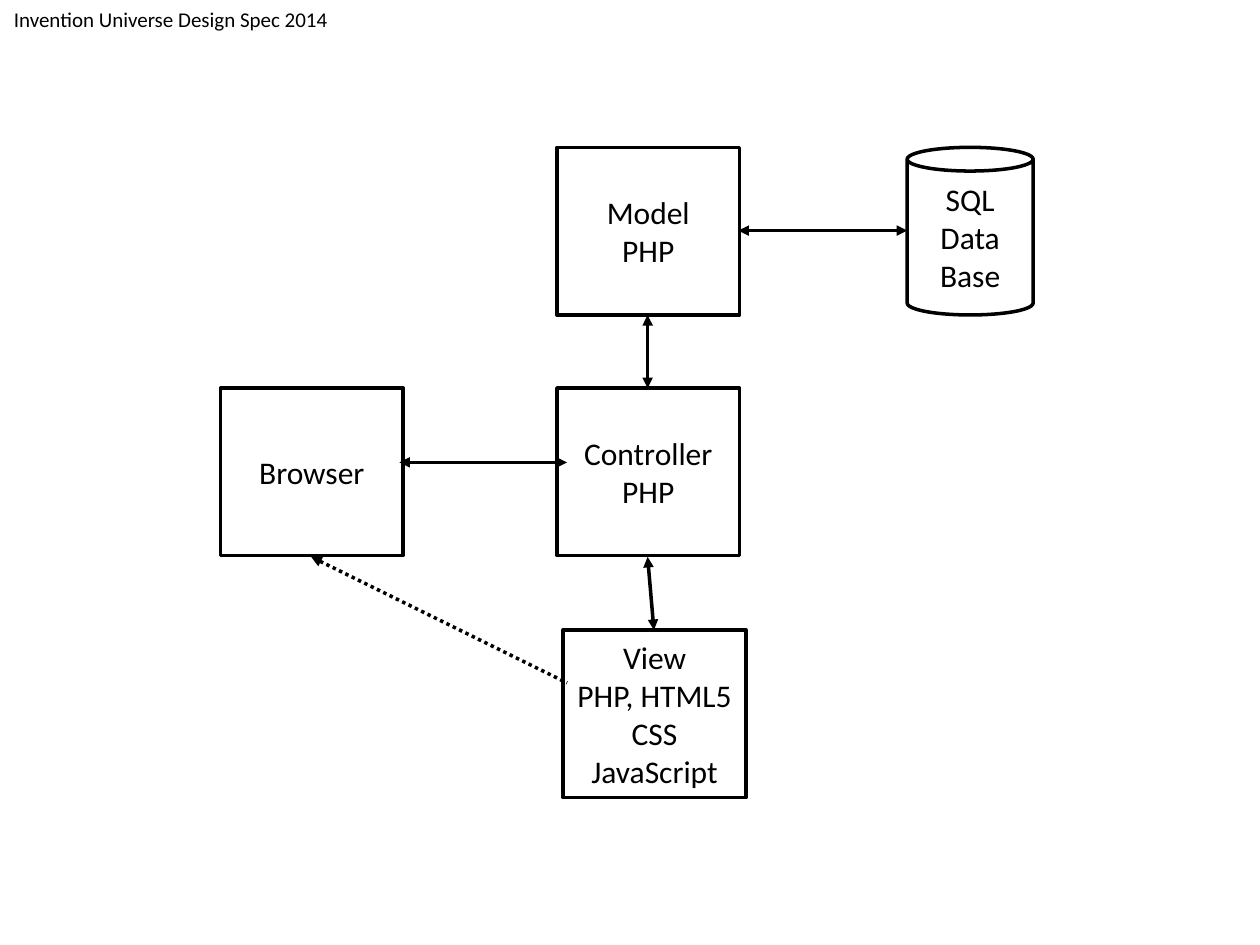
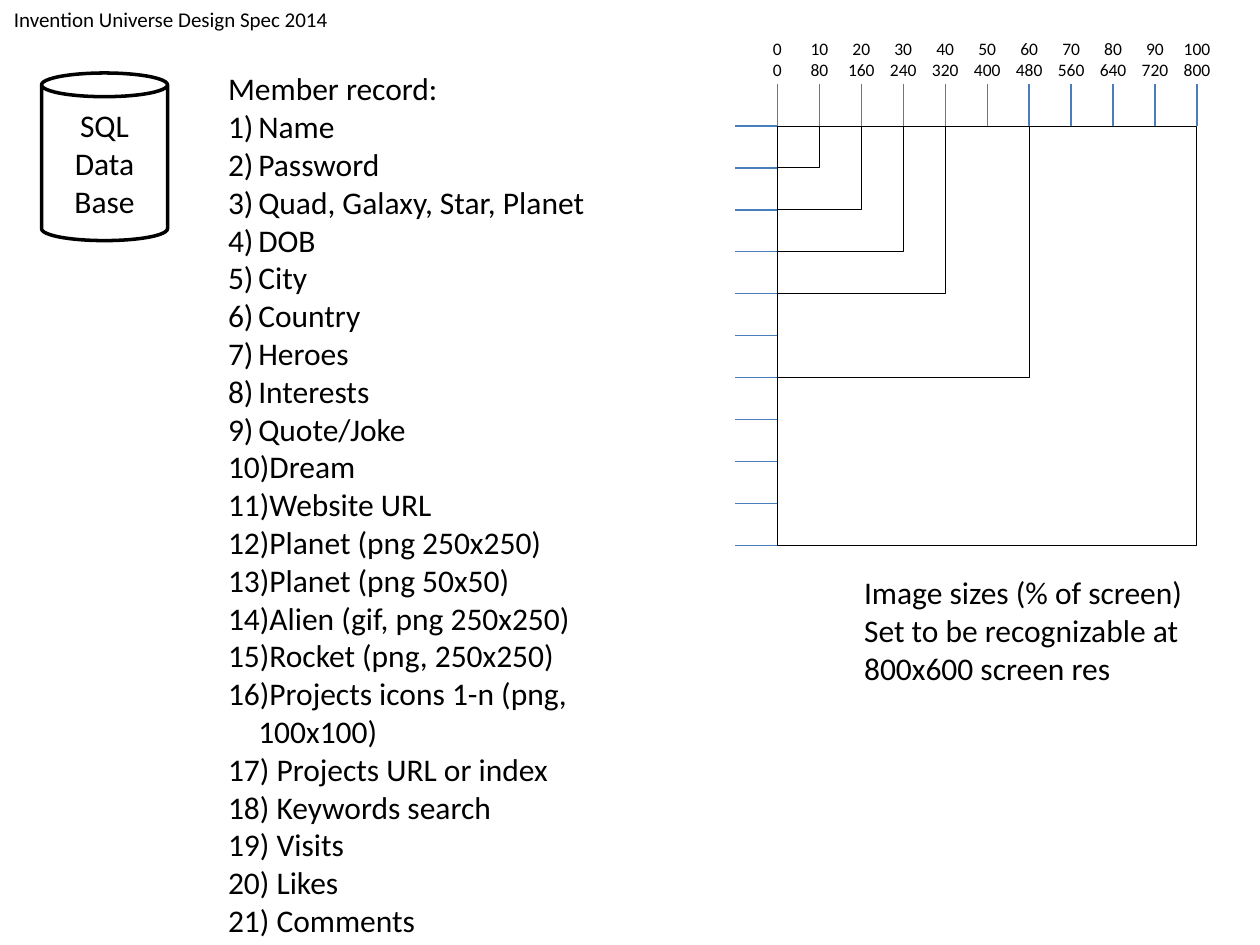
from dataclasses import dataclass
from typing import NamedTuple

from lxml.etree import SubElement
from pptx import Presentation
from pptx.dml.color import RGBColor
from pptx.enum.dml import MSO_LINE
from pptx.enum.shapes import MSO_CONNECTOR, MSO_SHAPE
from pptx.enum.text import MSO_ANCHOR, MSO_AUTO_SIZE, PP_ALIGN
from pptx.oxml.ns import qn
from pptx.util import Inches, Pt


@dataclass(frozen=True)
class Theme:
    """Colours, font, type sizes and line widths shared by the slides."""
    ink: RGBColor = RGBColor(0, 0, 0)
    paper: RGBColor = RGBColor(255, 255, 255)
    tick: RGBColor = RGBColor(0x4A, 0x7E, 0xBB)
    font: str = "Calibri"
    text: int = 18
    header: int = 12
    label: int = 10
    bold_line: float = 2
    tick_line: float = 0.75
    frame_line: float = 0.5


class Box(NamedTuple):
    """A region in inches."""
    left: float
    top: float
    width: float
    height: float

    def lengths(self):
        """Return the region as slide lengths."""
        return [Inches(value) for value in self]


THEME = Theme()
HEADER = "Invention Universe Design Spec 2014"
HEADER_BOX = Box(0.01, 0, 2.7, 0.3)
DATABASE = ["SQL", "Data", "Base"]
MEMBER_FIELDS = [
    "Name", "Password", "Quad, Galaxy, Star, Planet", "DOB", "City", "Country",
    "Heroes", "Interests", "Quote/Joke", "Dream", "Website URL",
    "Planet (png 250x250)", "Planet (png 50x50)", "Alien (gif, png 250x250)",
    "Rocket (png, 250x250)", "Projects icons 1-n (png, 100x100)",
    " Projects URL or index", " Keywords search", " Visits", " Likes", " Comments",
]
SIZE_NOTE = ["Image sizes (% of screen)", "Set to be recognizable at", "800x600 screen res"]


def write(frame, lines, size, align=PP_ALIGN.LEFT, anchor=MSO_ANCHOR.TOP, wrap=False):
    """Fill a text frame with one paragraph per line."""
    frame.auto_size = MSO_AUTO_SIZE.NONE
    frame.word_wrap = wrap
    frame.vertical_anchor = anchor
    frame.margin_left = frame.margin_right = Inches(0.1)
    frame.margin_top = frame.margin_bottom = Inches(0.05)
    for index, line in enumerate(lines):
        paragraph = frame.add_paragraph() if index else frame.paragraphs[0]
        paragraph.text = line
        paragraph.alignment = align
        paragraph.space_before = Pt(0)
        paragraph.font.name = THEME.font
        paragraph.font.size = Pt(size)
        paragraph.font.color.rgb = THEME.ink


def place(placeholder, box):
    """Move a placeholder to a region."""
    (placeholder.left, placeholder.top,
     placeholder.width, placeholder.height) = box.lengths()


def add_text(shapes, box, lines, size, align=PP_ALIGN.LEFT):
    """Add a text box."""
    write(shapes.add_textbox(*box.lengths()).text_frame, lines, size, align)


def add_outline(shapes, kind, box, width, fill=None):
    """Add an outlined shape, filled only when a colour is given."""
    shape = shapes.add_shape(kind, *box.lengths())
    shape.shadow.inherit = False
    if fill is None:
        shape.fill.background()
    else:
        shape.fill.solid()
        shape.fill.fore_color.rgb = fill
    shape.line.color.rgb = THEME.ink
    shape.line.width = Pt(width)
    return shape


def add_node(slide, box, lines):
    """Add a labelled component box."""
    node = add_outline(slide.shapes, MSO_SHAPE.RECTANGLE, box, THEME.bold_line, THEME.paper)
    write(node.text_frame, lines, THEME.text, PP_ALIGN.CENTER, MSO_ANCHOR.MIDDLE, True)


def add_database(slide, box):
    """Add the database cylinder."""
    cylinder = add_outline(slide.shapes, MSO_SHAPE.CAN, box, THEME.bold_line)
    cylinder.adjustments[0] = 0.188
    write(cylinder.text_frame, DATABASE, THEME.text, PP_ALIGN.CENTER, MSO_ANCHOR.MIDDLE, True)


def add_line(shapes, start, end, color, width):
    """Add a straight line without a shadow."""
    line = shapes.add_connector(
        MSO_CONNECTOR.STRAIGHT, *[Inches(value) for value in (*start, *end)])
    line.line.color.rgb = color
    line.line.width = Pt(width)
    SubElement(line._element.spPr, qn("a:effectLst"))
    return line


def add_arrow(slide, start, end, dotted=False):
    """Add a two-way arrow, or a dotted one with its head at the start."""
    arrow = add_line(slide.shapes, start, end, THEME.ink, THEME.bold_line)
    if dotted:
        arrow.line.dash_style = MSO_LINE.ROUND_DOT
    for tag in ["a:headEnd"] if dotted else ["a:headEnd", "a:tailEnd"]:
        SubElement(arrow.line._get_or_add_ln(), qn(tag), type="triangle")


def new_slide(deck, layout_index):
    """Add a slide with the shared header as its title."""
    slide = deck.slides.add_slide(deck.slide_layouts[layout_index])
    place(slide.shapes.title, HEADER_BOX)
    write(slide.shapes.title.text_frame, [HEADER], THEME.header)
    return slide


def add_member_record(placeholder, box):
    """Fill the body with a heading and its numbered fields."""
    place(placeholder, box)
    write(placeholder.text_frame, ["Member record:", *MEMBER_FIELDS], THEME.text)
    hang = Inches(0.24)
    for index, paragraph in enumerate(placeholder.text_frame.paragraphs):
        properties = paragraph._p.get_or_add_pPr()
        properties.set("marL", str(hang if index else 0))
        properties.set("indent", str(-hang if index else 0))
        bullet = [("a:buFont", {"typeface": THEME.font}),
                  ("a:buAutoNum", {"type": "arabicParenR"})] if index else [("a:buNone", {})]
        successors = properties.find(qn("a:defRPr"))
        for tag, attributes in bullet:
            element = SubElement(properties, qn(tag), attributes)
            if successors is not None:
                successors.addprevious(element)


def add_size_scale(slide, box):
    """Draw the percentage scale, the nested image sizes and their note."""
    shapes = slide.shapes.add_group_shape().shapes
    step = box.width / 10
    for index in range(11):
        x, y = box.left + index * step, box.top + index * step
        add_line(shapes, (x, box.top - step), (x, box.top), THEME.tick, THEME.tick_line)
        add_line(shapes, (box.left, y), (box.left - step, y), THEME.tick, THEME.tick_line)
        add_text(shapes, Box(x - 0.2, box.top - 0.75, 0.4, 0.44),
                 [str(index * 10), str(index * 80)], THEME.label, PP_ALIGN.CENTER)
    add_text(shapes, Box(box.left + 0.59, box.top + 3.5, 2.73, 1), SIZE_NOTE, THEME.text)
    for percent in (100, 60, 40, 30, 20, 10):
        side = box.width * percent / 100
        add_outline(shapes, MSO_SHAPE.RECTANGLE, Box(box.left, box.top, side, side),
                    THEME.frame_line, THEME.paper if percent == 100 else None)


def build_architecture(deck):
    """Build the slide with the components and their links."""
    slide = new_slide(deck, 5)
    add_database(slide, Box(7.2, 1.17, 1, 1.33))
    for left, top, lines in [
        (4.42, 1.17, ["Model", "PHP"]),
        (4.42, 3.08, ["Controller", "PHP"]),
        (4.47, 5, ["View", "PHP, HTML5", "CSS", "JavaScript"]),
        (1.75, 3.08, ["Browser"]),
    ]:
        add_node(slide, Box(left, top, 1.45, 1.33), lines)
    for start, end in [
        ((5.86, 1.83), (7.2, 1.83)),
        ((3.17, 3.67), (4.5, 3.67)),
        ((5.14, 2.5), (5.14, 3.08)),
        ((5.14, 4.42), (5.19, 5)),
    ]:
        add_arrow(slide, start, end)
    add_arrow(slide, (2.47, 4.42), (4.5, 5.42), dotted=True)


def build_data(deck):
    """Build the slide with the member record and the image sizes."""
    slide = new_slide(deck, 1)
    add_database(slide, Box(0.33, 0.58, 1, 1.33))
    add_member_record(slide.placeholders[1], Box(1.71, 0.5, 3.89, 6.7))
    add_size_scale(slide, Box(6.17, 1, 3.33, 3.33))


def main():
    """Build and save the deck."""
    deck = Presentation()
    deck.slide_width, deck.slide_height = Inches(10), Inches(7.5)
    build_architecture(deck)
    build_data(deck)
    deck.save("out.pptx")


if __name__ == "__main__":
    main()
